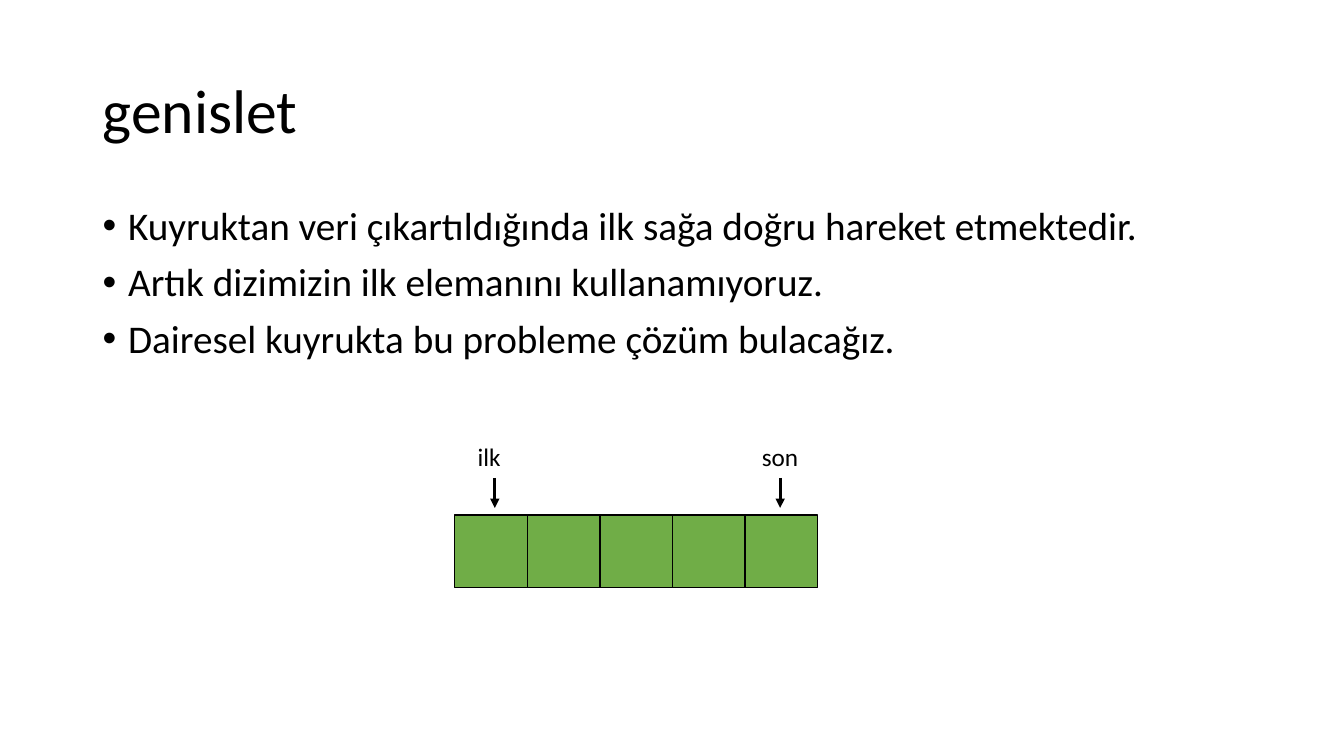
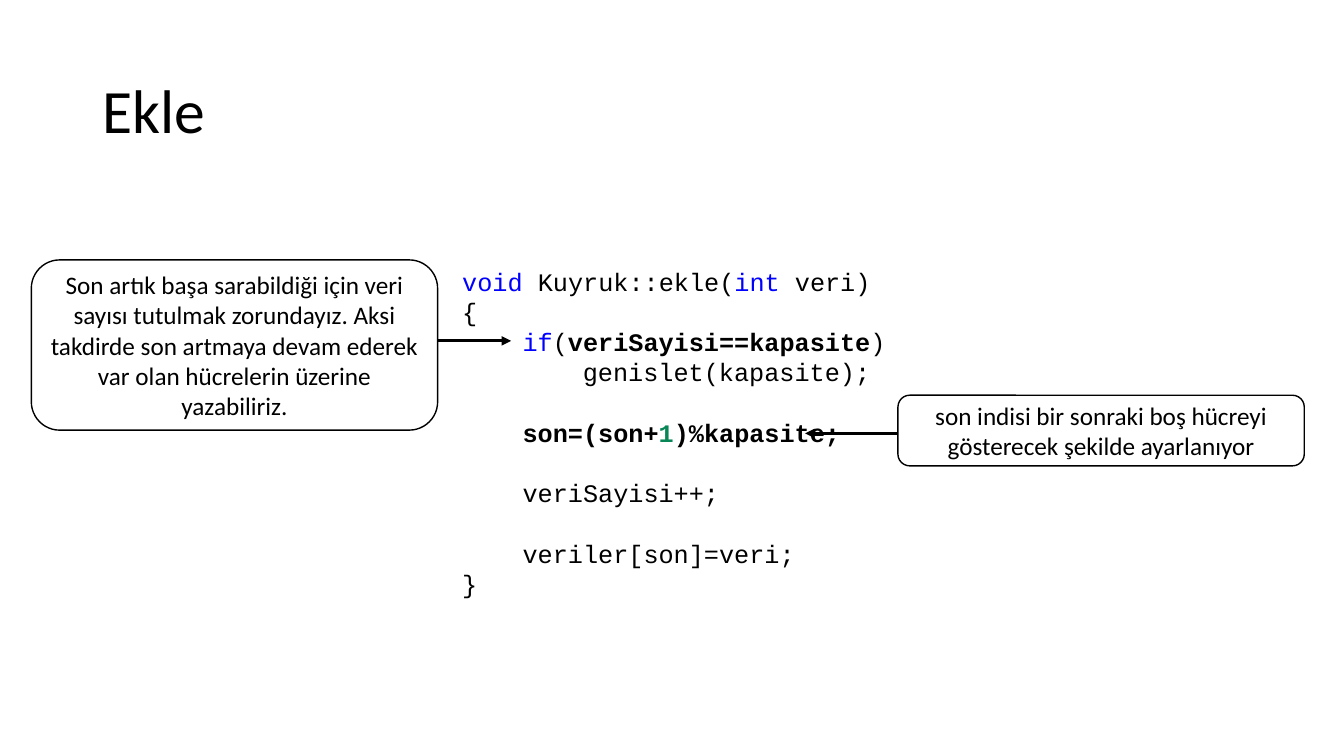
from pptx import Presentation
from pptx.dml.color import RGBColor
from pptx.enum.shapes import MSO_CONNECTOR, MSO_SHAPE
from pptx.enum.text import MSO_ANCHOR, PP_ALIGN
from pptx.oxml.ns import qn
from pptx.util import Cm, Pt
from lxml import etree

RECT, ROUND = MSO_SHAPE.RECTANGLE, MSO_SHAPE.ROUNDED_RECTANGLE
LINE = MSO_CONNECTOR.STRAIGHT
MIDDLE, CENTER = MSO_ANCHOR.MIDDLE, PP_ALIGN.CENTER

BLACK = RGBColor(0x00, 0x00, 0x00)
WHITE = RGBColor(0xFF, 0xFF, 0xFF)
GREEN = RGBColor(0x70, 0xAD, 0x47)
BLUE = RGBColor(0x00, 0x00, 0xFF)
TEAL = RGBColor(0x09, 0x86, 0x58)
SANS, MONO = "Calibri", "Courier New"

# Content, with lengths in cm
POINTS = [
    "Kuyruktan veri çıkartıldığında ilk sağa doğru hareket etmektedir.",
    "Artık dizimizin ilk elemanını kullanamıyoruz.",
    "Dairesel kuyrukta bu probleme çözüm bulacağız.",
]
CELLS, SIDE, ROW_X, ROW_Y = 5, 1.83, 11.46, 12.98
# label, label left, arrow x
MARKS = [("ilk", 11.79, 12.47), ("son", 18.95, 19.66)]

# indent level, blank lines before, runs of (text, colour, bold)
CODE = [
    (0, 0, [("void ", BLUE, False), ("Kuyruk::ekle(", BLACK, False),
            ("int ", BLUE, False), ("veri)", BLACK, False)]),
    (0, 0, [("{", BLACK, False)]),
    (1, 0, [("if", BLUE, False), ("(", BLACK, False),
            ("veriSayisi==kapasite", BLACK, True), (")", BLACK, False)]),
    (2, 0, [("genislet(kapasite);", BLACK, False)]),
    (1, 1, [("son=(son+", BLACK, True), ("1", TEAL, True),
            (")%kapasite;", BLACK, True)]),
    (1, 1, [("veriSayisi++;", BLACK, False)]),
    (1, 1, [("veriler[son]=veri;", BLACK, False)]),
    (0, 0, [("}", BLACK, False)]),
]
PITCH, TAB = 21.6, 1.52
# text, box, arrow start, arrow end
NOTES = [
    ("Son artık başa sarabildiği için veri sayısı tutulmak zorundayız. "
     "Aksi takdirde son artmaya devam ederek var olan hücrelerin üzerine "
     "yazabiliriz.",
     (0.79, 6.55, 10.24, 4.29), (11.03, 8.59), (12.88, 8.59)),
    ("son indisi bir sonraki boş hücreyi gösterecek şekilde ayarlanıyor",
     (22.63, 9.96, 10.24, 1.78), (22.63, 10.92), (20.29, 10.92)),
]


def style(para, size, face=SANS):
    para.font.size = Pt(size)
    para.font.name = face
    para.font.color.rgb = BLACK


def add_text(slide, box, lines, size):
    frame = slide.shapes.add_textbox(*map(Cm, box)).text_frame
    frame.word_wrap = True
    frame.text = "\n".join(lines)
    for para in frame.paragraphs:
        style(para, size)
    return frame


def add_box(slide, kind, box, fill):
    shape = slide.shapes.add_shape(kind, *map(Cm, box))
    shape.shadow.inherit = False
    shape.fill.solid()
    shape.fill.fore_color.rgb = fill
    shape.line.color.rgb = BLACK
    shape.line.width = Pt(1)
    return shape


def add_arrow(slide, start, end):
    arrow = slide.shapes.add_connector(LINE, *map(Cm, start + end))
    arrow.line.color.rgb = BLACK
    arrow.line.width = Pt(2.25)
    etree.SubElement(arrow.line._get_or_add_ln(), qn("a:tailEnd"),
                     type="triangle")
    etree.SubElement(arrow._element.spPr, qn("a:effectLst"))


def indent(para, left, hang=0):
    props = para._p.get_or_add_pPr()
    props.set("marL", str(Cm(left)))
    props.set("indent", str(-Cm(hang)))
    return props


def add_slide(deck, title):
    slide = deck.slides.add_slide(deck.slide_layouts[6])
    frame = add_text(slide, (2.34, 1.02, 29.21, 3.68), [title], 44)
    frame.vertical_anchor = MIDDLE
    frame.paragraphs[0].line_spacing = 0.9
    return slide


def add_queue(deck):
    slide = add_slide(deck, "genislet")
    # Bullets
    body = add_text(slide, (2.34, 5.08, 29.21, 5.56), POINTS, 28)
    for para in body.paragraphs:
        para.line_spacing = 0.9
        para.space_before = Pt(10)
        props = indent(para, 0.64, 0.64)
        etree.SubElement(props, qn("a:buFont"), typeface="Arial")
        etree.SubElement(props, qn("a:buChar"), char="•")
    # Queue cells
    for i in range(CELLS):
        add_box(slide, RECT, (ROW_X + i * SIDE, ROW_Y, SIDE, SIDE), GREEN)
    # Pointers
    for label, left, x in MARKS:
        add_text(slide, (left, 11, 1.45, 1.02), [label], 18)
        add_arrow(slide, (x, 12.04), (x, 12.8))


def add_code(deck):
    slide = add_slide(deck, "Ekle")
    # Code
    frame = add_text(slide, (11.4, 6.58, 16.94, 8.71), [""] * len(CODE), 18)
    for para, (level, gap, runs) in zip(frame.paragraphs, CODE):
        style(para, 18, MONO)
        para.line_spacing = Pt(PITCH)
        para.space_before = Pt(gap * PITCH)
        indent(para, level * TAB)
        for text, color, bold in runs:
            run = para.add_run()
            run.text = text
            run.font.size, run.font.name = Pt(18), MONO
            run.font.color.rgb = color
            run.font.bold = bold
    # Notes
    for text, box, start, end in NOTES:
        note = add_box(slide, ROUND, box, WHITE).text_frame
        note.word_wrap = True
        note.vertical_anchor = MIDDLE
        note.text = text
        style(note.paragraphs[0], 18)
        note.paragraphs[0].alignment = CENTER
        add_arrow(slide, start, end)


def main():
    deck = Presentation()
    deck.slide_width, deck.slide_height = Cm(33.87), Cm(19.05)
    add_queue(deck)
    add_code(deck)
    deck.save("out.pptx")


if __name__ == "__main__":
    main()
